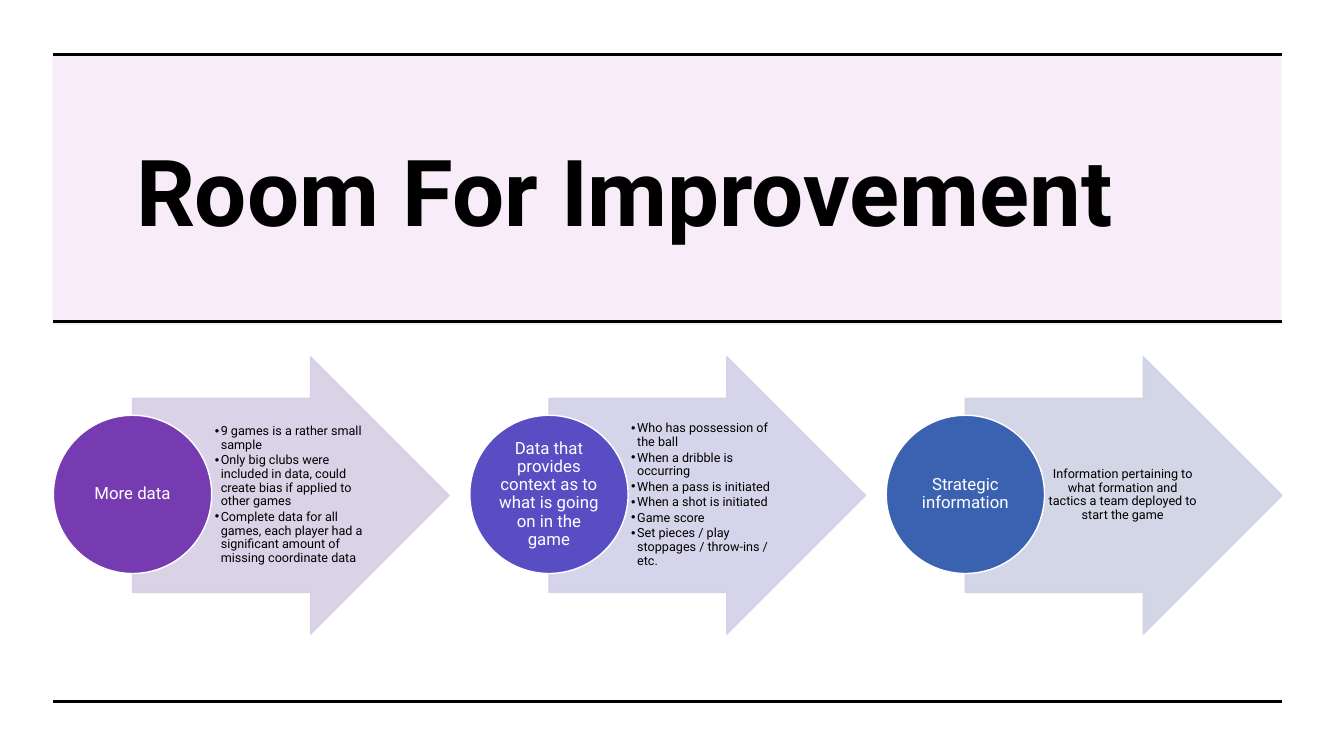
from dataclasses import dataclass

from lxml.etree import SubElement
from pptx import Presentation
from pptx.dml.color import RGBColor
from pptx.enum.shapes import MSO_CONNECTOR, MSO_SHAPE
from pptx.enum.text import MSO_ANCHOR, MSO_AUTO_SIZE, PP_ALIGN
from pptx.oxml.ns import qn
from pptx.shapes.autoshape import Shape
from pptx.slide import Slide
from pptx.text.text import TextFrame
from pptx.util import Inches, Pt

FONT = "Roboto"
LEFT, RIGHT = 0.53, 12.72
PITCH = 4.13
DISC = 1.57


@dataclass
class Step:
    name: str
    disc: str
    arrow: str
    notes: list[str]


STEPS = [
    Step("More data", "773BB1", "D6CEE4", [
        "9 games is a rather small sample",
        "Only big clubs were included in data, could create bias if applied to other games",
        "Complete data for all games, each player had a significant amount of "
        "missing coordinate data",
    ]),
    Step("Data that provides context as to what is going on in the game", "584DC3", "D1D0E9", [
        "Who has possession of the ball",
        "When a dribble is occurring",
        "When a pass is initiated",
        "When a shot is initiated",
        "Game score",
        "Set pieces / play stoppages / throw-ins / etc.",
    ]),
    Step("Strategic information", "3B61B1", "CED2E4", [
        "Information pertaining to what formation and tactics a team deployed to start the game",
    ]),
]


def color(code: str) -> RGBColor:
    return RGBColor.from_string(code)


def place(shape: Shape, x: float, y: float, w: float, h: float) -> None:
    shape.left, shape.top = Inches(x), Inches(y)
    shape.width, shape.height = Inches(w), Inches(h)


def add_form(slide: Slide, kind: MSO_SHAPE, x: float, y: float, w: float, h: float,
             fill: str, line: str = "", alpha: int = 100) -> Shape:
    """Add a preset shape; alpha is the opacity of fill and line in percent."""
    form = slide.shapes.add_shape(kind, Inches(x), Inches(y), Inches(w), Inches(h))
    form.shadow.inherit = False
    form.fill.solid()
    form.fill.fore_color.rgb = color(fill)
    if line:
        form.line.color.rgb = color(line)
        form.line.width = Pt(1)
    else:
        form.line.fill.background()
    if alpha < 100:
        for paint in form.element.spPr.iter(qn("a:srgbClr")):
            SubElement(paint, qn("a:alpha"), val=str(alpha * 1000))
    return form


def add_rule(slide: Slide, y: float) -> None:
    rule = slide.shapes.add_connector(
        MSO_CONNECTOR.STRAIGHT, Inches(LEFT), Inches(y), Inches(RIGHT), Inches(y))
    rule.line.color.rgb = color("000000")
    rule.line.width = Pt(2.25)
    SubElement(rule.element.spPr, qn("a:effectLst"))


def set_frame(frame: TextFrame, left: float, edge: float) -> None:
    """Wrap and centre the text upright, with one inset left and one elsewhere."""
    frame.word_wrap = True
    frame.auto_size = MSO_AUTO_SIZE.NONE
    frame.vertical_anchor = MSO_ANCHOR.MIDDLE
    frame.margin_left = Inches(left)
    frame.margin_top = frame.margin_right = frame.margin_bottom = Inches(edge)


def write(frame: TextFrame, lines: list[str], size: float, ink: str,
          bold: bool = False, space: float = 0.9) -> None:
    """Write one centred paragraph, or a bulleted list when there are more."""
    listed = len(lines) > 1
    for i, line in enumerate(lines):
        par = frame.paragraphs[0] if i == 0 else frame.add_paragraph()
        par.alignment = PP_ALIGN.LEFT if listed else PP_ALIGN.CENTER
        par.line_spacing = space
        par.space_before = Pt(0)
        if listed:
            par.level = 1
            par.space_after = Pt(1.35)
            props = par._p.get_or_add_pPr()
            props.set("marL", str(Inches(0.06)))
            props.set("indent", str(-Inches(0.06)))
            SubElement(props, qn("a:buChar"), char="•")
        run = par.add_run()
        run.text = line
        run.font.name = FONT
        run.font.size = Pt(size)
        run.font.bold = bold
        run.font.color.rgb = color(ink)


def add_step(slide: Slide, step: Step, x: float, bodies: list[Shape]) -> None:
    """Draw arrow, notes and disc; a list takes the next body placeholder."""
    arrow = add_form(slide, MSO_SHAPE.RIGHT_ARROW, x + DISC / 2, 3.54, 3.14, 2.75,
                     step.arrow, step.arrow, 90)
    arrow.adjustments[0], arrow.adjustments[1] = 0.7, 0.5

    if len(step.notes) > 1:
        notes = bodies.pop(0)
        slide.shapes.element.append(notes.element)
    else:
        notes = slide.shapes.add_textbox(0, 0, 0, 0)
    place(notes, x + DISC, 3.95, 1.53, 1.92)
    set_frame(notes.text_frame, 0.03, 0.01)
    write(notes.text_frame, step.notes, 9, "000000")

    disc = add_form(slide, MSO_SHAPE.OVAL, x, 4.12, DISC, DISC, step.disc, "FFFFFF")
    set_frame(disc.text_frame, 0.01, 0.01)
    write(disc.text_frame, [step.name], 12, "FFFFFF")


def main() -> None:
    deck = Presentation()
    deck.slide_width, deck.slide_height = Inches(13.33), Inches(7.5)
    slide = deck.slides.add_slide(deck.slide_layouts.get_by_name("Two Content"))
    title = slide.shapes.title
    bodies = [slide.placeholders[1], slide.placeholders[2]]

    add_form(slide, MSO_SHAPE.RECTANGLE, 0.52, 0.53, 12.19, 2.69, "BB4DC3", alpha=10)
    slide.shapes.element.append(title.element)
    place(title, LEFT, 1.07, 11.33, 1.63)
    set_frame(title.text_frame, 0.1, 0.05)
    title.text_frame.margin_right = Inches(0.1)
    write(title.text_frame, ["Room For Improvement"], 66, "000000", True, 1.0)

    for y in (0.54, 3.19, 6.96):
        add_rule(slide, y)
    for i, step in enumerate(STEPS):
        add_step(slide, step, LEFT + i * PITCH, bodies)
    deck.save("out.pptx")


if __name__ == "__main__":
    main()
